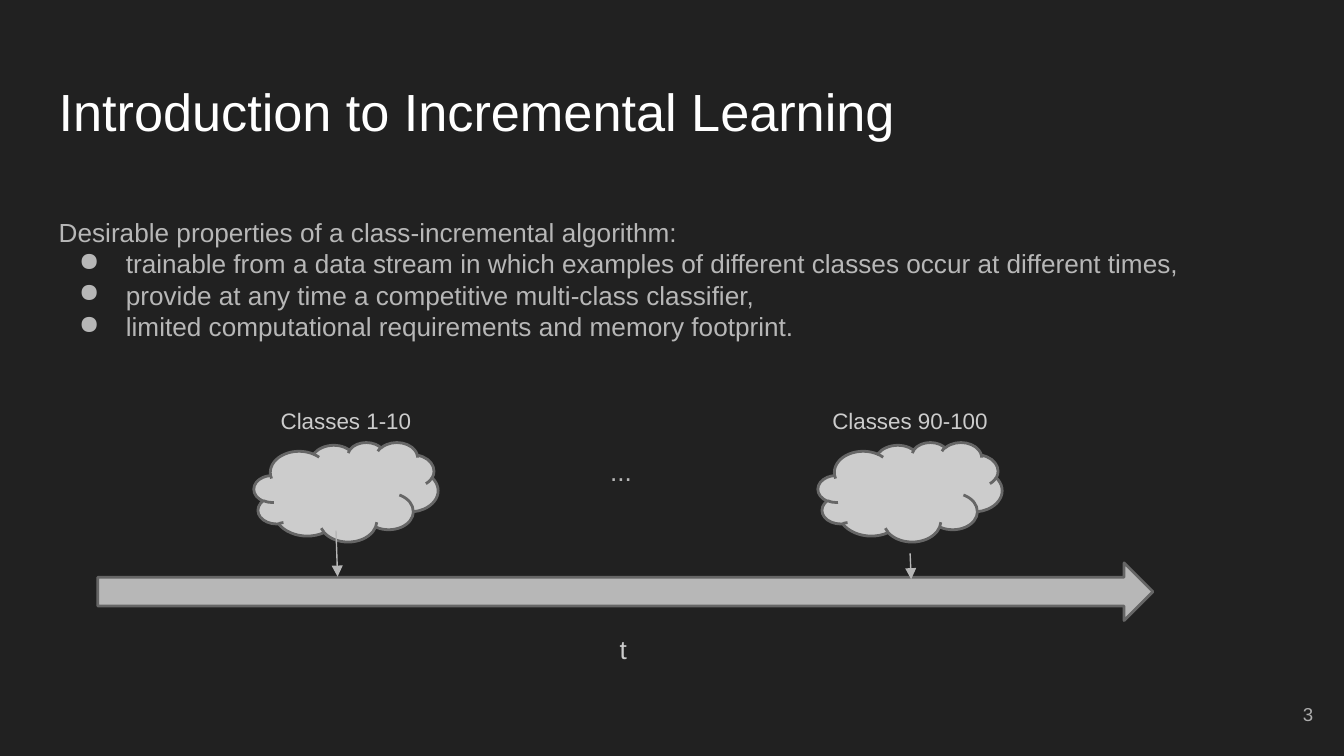
from lxml import etree
from pptx import Presentation
from pptx.dml.color import RGBColor
from pptx.enum.shapes import MSO_CONNECTOR, MSO_SHAPE
from pptx.enum.text import MSO_ANCHOR, PP_ALIGN
from pptx.oxml.ns import qn
from pptx.util import Cm, Pt

STRAIGHT = MSO_CONNECTOR.STRAIGHT
CLOUD, RIGHT_ARROW = MSO_SHAPE.CLOUD, MSO_SHAPE.RIGHT_ARROW
TOP, MIDDLE = MSO_ANCHOR.TOP, MSO_ANCHOR.MIDDLE
LEFT, CENTER, RIGHT = PP_ALIGN.LEFT, PP_ALIGN.CENTER, PP_ALIGN.RIGHT

BACKGROUND = RGBColor(0x21, 0x21, 0x21)
WHITE = RGBColor(0xFF, 0xFF, 0xFF)
LIGHT = RGBColor(0xCC, 0xCC, 0xCC)
GREY = RGBColor(0xB7, 0xB7, 0xB7)
PAGE_GREY = RGBColor(0xAD, 0xAD, 0xAD)
OUTLINE = RGBColor(0x66, 0x66, 0x66)

prs = Presentation()
prs.slide_width, prs.slide_height = Cm(25.4), Cm(14.29)
slide = prs.slides.add_slide(prs.slide_layouts[6])
slide.background.fill.solid()
slide.background.fill.fore_color.rgb = BACKGROUND


def add_text(text, left, top, width, height, size=14, color=GREY,
             align=LEFT, anchor=TOP, bullets=()):
    box = slide.shapes.add_textbox(Cm(left), Cm(top), Cm(width), Cm(height))
    frame = box.text_frame
    frame.word_wrap = True
    frame.vertical_anchor = anchor
    frame.margin_left = frame.margin_right = Cm(0.25)
    frame.margin_top = frame.margin_bottom = Cm(0.25)
    frame.text = "\n".join([text, *bullets])
    for index, paragraph in enumerate(frame.paragraphs):
        paragraph.alignment = align
        if index:
            properties = paragraph._p.get_or_add_pPr()
            properties.set("marL", str(Cm(1.27)))
            properties.set("indent", str(Cm(-0.89)))
            bullet_color = etree.SubElement(properties, qn("a:buClr"))
            etree.SubElement(bullet_color, qn("a:srgbClr"), val=str(color))
            etree.SubElement(properties, qn("a:buChar"), char="●")
        for run in paragraph.runs:
            run.font.name = "Arial"
            run.font.size = Pt(size)
            run.font.color.rgb = color


def add_outlined(kind, left, top, width, height, fill):
    shape = slide.shapes.add_shape(kind, Cm(left), Cm(top), Cm(width), Cm(height))
    shape.shadow.inherit = False
    shape.fill.solid()
    shape.fill.fore_color.rgb = fill
    shape.line.color.rgb = OUTLINE
    shape.line.width = Pt(1.5)


add_text("Introduction to Incremental Learning", 0.86, 1.24, 23.67, 1.6,
         size=28, color=WHITE)
add_text("Desirable properties of a class-incremental algorithm:",
         0.86, 3.84, 21.89, 6.4,
         bullets=[
             "trainable from a data stream in which examples of different classes occur at different times,",
             "provide at any time a competitive multi-class classifier,",
             "limited computational requirements and memory footprint.",
         ])
add_text("3", 23.55, 12.95, 1.52, 1.09, size=10, color=PAGE_GREY,
         align=RIGHT, anchor=MIDDLE)

add_outlined(RIGHT_ARROW, 1.85, 10.64, 19.94, 1.09, GREY)
add_text("t", 11.46, 11.73, 0.69, 1.88, color=LIGHT)
add_text("...", 11.28, 8.36, 2.87, 1.88)

batches = [
    ("Classes 1-10", 4.8, (6.35, 10.03, 6.38, 10.9)),
    ("Classes 90-100", 15.46, (17.2, 10.46, 17.22, 10.95)),
]
for label, cloud_left, arrow_ends in batches:
    add_outlined(CLOUD, cloud_left, 8.36, 3.48, 1.88, LIGHT)
    add_text(label, cloud_left - 0.52, 7.44, 4.52, 1.37, size=12,
             color=LIGHT, align=CENTER)
    arrow = slide.shapes.add_connector(STRAIGHT, *map(Cm, arrow_ends))
    arrow.line.color.rgb = GREY
    arrow.line.width = Pt(0.75)
    etree.SubElement(arrow.line._get_or_add_ln(), qn("a:tailEnd"), type="triangle")
    etree.SubElement(arrow._element.spPr, qn("a:effectLst"))

prs.save("out.pptx")
